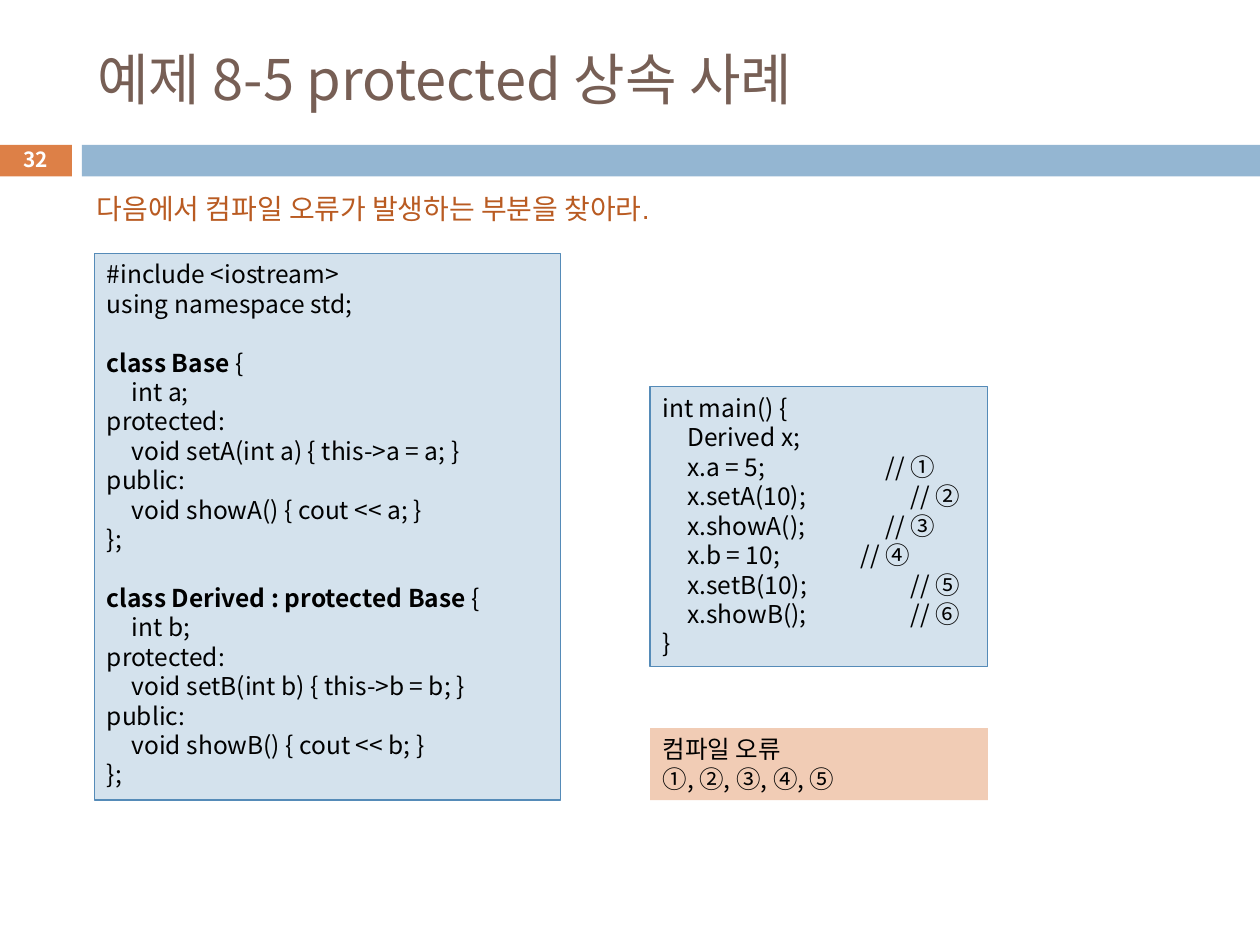
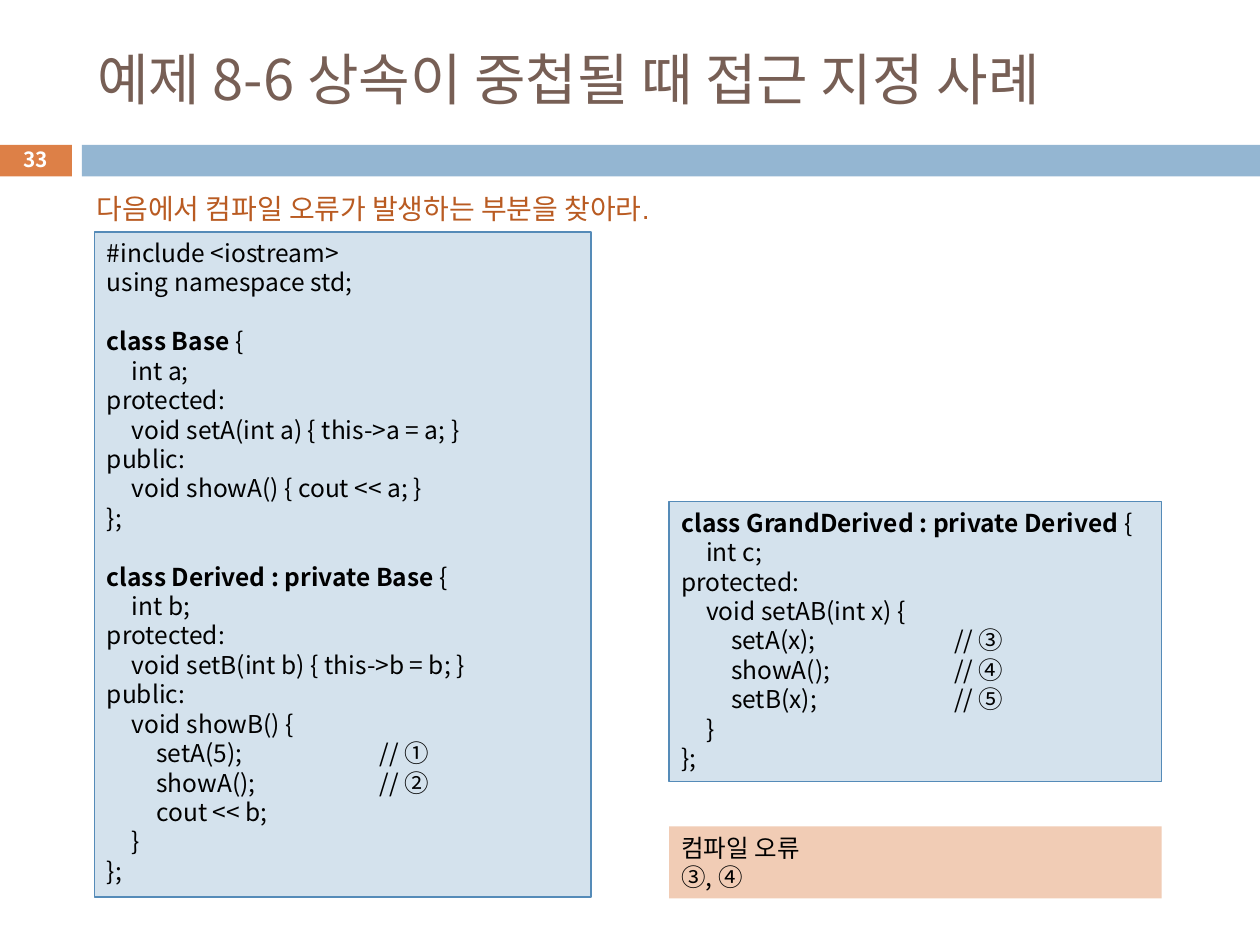
import dataclasses

import lxml.etree
import pptx
import pptx.dml.color
import pptx.enum.shapes
import pptx.enum.text
import pptx.oxml.ns
import pptx.util

Pt = pptx.util.Pt
ANCHOR = pptx.enum.text.MSO_ANCHOR
ALIGN = pptx.enum.text.PP_ALIGN


@dataclasses.dataclass(frozen=True)
class Theme:
    font: str = "Noto Sans CJK KR"
    task_font: str = "Arial"
    title_color: str = "775F55"
    number_band: str = "DD8047"
    title_band: str = "94B6D2"
    code_fill: str = "D4E2ED"
    code_line: str = "558BB8"
    answer_fill: str = "F1CCB5"
    task_color: str = "B95B22"
    text_color: str = "000000"
    number_color: str = "FFFFFF"
    title_size: float = 32
    task_size: float = 16
    code_size: float = 14
    number_size: float = 11.9
    line_pitch: float = 16.8
    tab_step: float = 14.17
    tab_count: int = 12


TASK = "다음에서 컴파일 오류가 발생하는 부분을 찾아라."

BASE_CLASS = """#include <iostream>
using namespace std;

class Base {
\tint a;
protected:
\tvoid setA(int a) { this->a = a; }
public:
\tvoid showA() { cout << a; }
};
"""

DERIVED_CLASS = """
class Derived : {access} Base {{
\tint b;
protected:
\tvoid setB(int b) {{ this->b = b; }}
public:
\tvoid showB() {{{show_body}}}
}};"""

PROTECTED_CODE = BASE_CLASS + DERIVED_CLASS.format(
    access="protected", show_body=" cout << b; ")

PRIVATE_CODE = BASE_CLASS + DERIVED_CLASS.format(access="private", show_body="""
\t\tsetA(5); \t\t\t\t\t\t// ①
\t\tshowA(); \t\t\t\t\t// ②
\t\tcout << b;
\t""")

MAIN_CODE = """int main() {
\tDerived x;
\tx.a = 5; \t\t\t\t\t// ①
\tx.setA(10); \t\t\t\t// ②
\tx.showA(); \t\t\t\t// ③
\tx.b = 10; \t\t\t\t// ④
\tx.setB(10); \t\t\t\t// ⑤
\tx.showB(); \t\t\t\t// ⑥
}"""

GRAND_CODE = """class GrandDerived : private Derived {
\tint c;
protected:
\tvoid setAB(int x) {
\t\tsetA(x); \t\t\t\t\t\t// ③
\t\tshowA(); \t\t\t\t\t// ④
\t\tsetB(x); \t\t\t\t\t\t// ⑤
\t}
};"""


class Deck:
    def __init__(self, theme):
        self.theme = theme
        self.presentation = pptx.Presentation()
        self.presentation.slide_width = Pt(720)
        self.presentation.slide_height = Pt(540)
        self.slide = None

    def add_slide(self, number, title):
        theme = self.theme
        self.slide = self.presentation.slides.add_slide(
            self.presentation.slide_layouts.get_by_name("Title Only"))
        self.rectangle(-0.72, 82.8, 41.76, 18, theme.number_band)
        self.rectangle(46.8, 82.8, 673.2, 18, theme.title_band)
        self.title(title)
        self.text(number, -0.72, 81.36, 41.76, 19.44, theme.number_size,
                  theme.number_color, bold=True, align=ALIGN.CENTER,
                  anchor=ANCHOR.MIDDLE)
        self.text(TASK, 48.24, 105.84, 369.36, 26.64, theme.task_size,
                  theme.task_color, font=theme.task_font)

    def format_run(self, run, size, color, bold=False, font=None):
        """Format a run; Korean letters always use the theme font."""
        run.font.size = Pt(size)
        run.font.bold = bold
        run.font.color.rgb = pptx.dml.color.RGBColor.from_string(color)
        run.font.name = font or self.theme.font
        east_asian = lxml.etree.Element(pptx.oxml.ns.qn("a:ea"))
        east_asian.set("typeface", self.theme.font)
        run.font._element.find(pptx.oxml.ns.qn("a:latin")).addnext(east_asian)

    def title(self, text):
        shape = self.slide.shapes.title
        shape.left, shape.top = Pt(48.24), Pt(18)
        shape.width, shape.height = Pt(642.24), Pt(53.28)
        frame = shape.text_frame
        frame.text = text
        frame.auto_size = pptx.enum.text.MSO_AUTO_SIZE.NONE
        frame.vertical_anchor = ANCHOR.MIDDLE
        paragraph = frame.paragraphs[0]
        paragraph.alignment = ALIGN.LEFT
        self.format_run(paragraph.runs[0], self.theme.title_size,
                        self.theme.title_color)

    def text(self, text, left, top, width, height, size, color, bold=False,
             font=None, align=ALIGN.LEFT, anchor=ANCHOR.TOP):
        shape = self.slide.shapes.add_textbox(
            Pt(left), Pt(top), Pt(width), Pt(height))
        frame = shape.text_frame
        frame.word_wrap = True
        frame.vertical_anchor = anchor
        frame.text = text
        frame.paragraphs[0].alignment = align
        self.format_run(frame.paragraphs[0].runs[0], size, color, bold, font)

    def rectangle(self, left, top, width, height, fill, line=None):
        shape = self.slide.shapes.add_shape(
            pptx.enum.shapes.MSO_SHAPE.RECTANGLE,
            Pt(left), Pt(top), Pt(width), Pt(height))
        shape.shadow.inherit = False
        shape.fill.solid()
        shape.fill.fore_color.rgb = pptx.dml.color.RGBColor.from_string(fill)
        if line:
            shape.line.color.rgb = pptx.dml.color.RGBColor.from_string(line)
            shape.line.width = Pt(0.75)
        else:
            shape.line.fill.background()
        return shape

    def add_tab_stops(self, paragraph):
        properties = paragraph._p.get_or_add_pPr()
        stops = lxml.etree.SubElement(properties, pptx.oxml.ns.qn("a:tabLst"))
        for index in range(1, self.theme.tab_count + 1):
            stop = lxml.etree.SubElement(stops, pptx.oxml.ns.qn("a:tab"))
            stop.set("pos", str(Pt(index * self.theme.tab_step)))
            stop.set("algn", "l")

    def fill_lines(self, shape, text):
        """Set one paragraph a line; a blank line becomes space before the next."""
        theme = self.theme
        frame = shape.text_frame
        frame.word_wrap = True
        frame.vertical_anchor = ANCHOR.TOP
        paragraph, gap = frame.paragraphs[0], 0
        for index, line in enumerate(text.split("\n")):
            if not line:
                gap = theme.line_pitch
                continue
            if index:
                paragraph = frame.add_paragraph()
            paragraph.alignment = ALIGN.LEFT
            paragraph.line_spacing = Pt(theme.line_pitch)
            paragraph.space_before = Pt(gap)
            gap = 0
            self.add_tab_stops(paragraph)
            is_class = line.startswith("class ")
            paragraph.text = line.removesuffix("{") if is_class else line
            if is_class:
                paragraph.add_run().text = "{"
            for position, run in enumerate(paragraph.runs):
                self.format_run(run, theme.code_size, theme.text_color,
                                bold=is_class and position == 0)

    def code(self, text, left, top, width, height):
        self.fill_lines(self.rectangle(left, top, width, height,
                                       self.theme.code_fill,
                                       self.theme.code_line), text)

    def answer(self, marks, left, top, width):
        self.fill_lines(self.rectangle(left, top, width, 41.04,
                                       self.theme.answer_fill),
                        "컴파일 오류\n" + marks)


def main():
    deck = Deck(Theme())

    deck.add_slide("32", "예제 8-5 protected 상속 사례")
    deck.code(PROTECTED_CODE, 54, 144.72, 266.4, 312.48)
    deck.code(MAIN_CODE, 371.52, 221.04, 192.96, 159.84)
    deck.answer("①, ②, ③, ④, ⑤", 371.52, 416.16, 192.96)

    deck.add_slide("33", "예제 8-6 상속이 중첩될 때 접근 지정 사례")
    deck.code(PRIVATE_CODE, 54, 132.48, 283.68, 380.16)
    deck.code(GRAND_CODE, 382.32, 286.56, 281.52, 159.84)
    deck.answer("③, ④", 382.32, 472.32, 281.52)

    deck.presentation.save("out.pptx")


if __name__ == "__main__":
    main()
